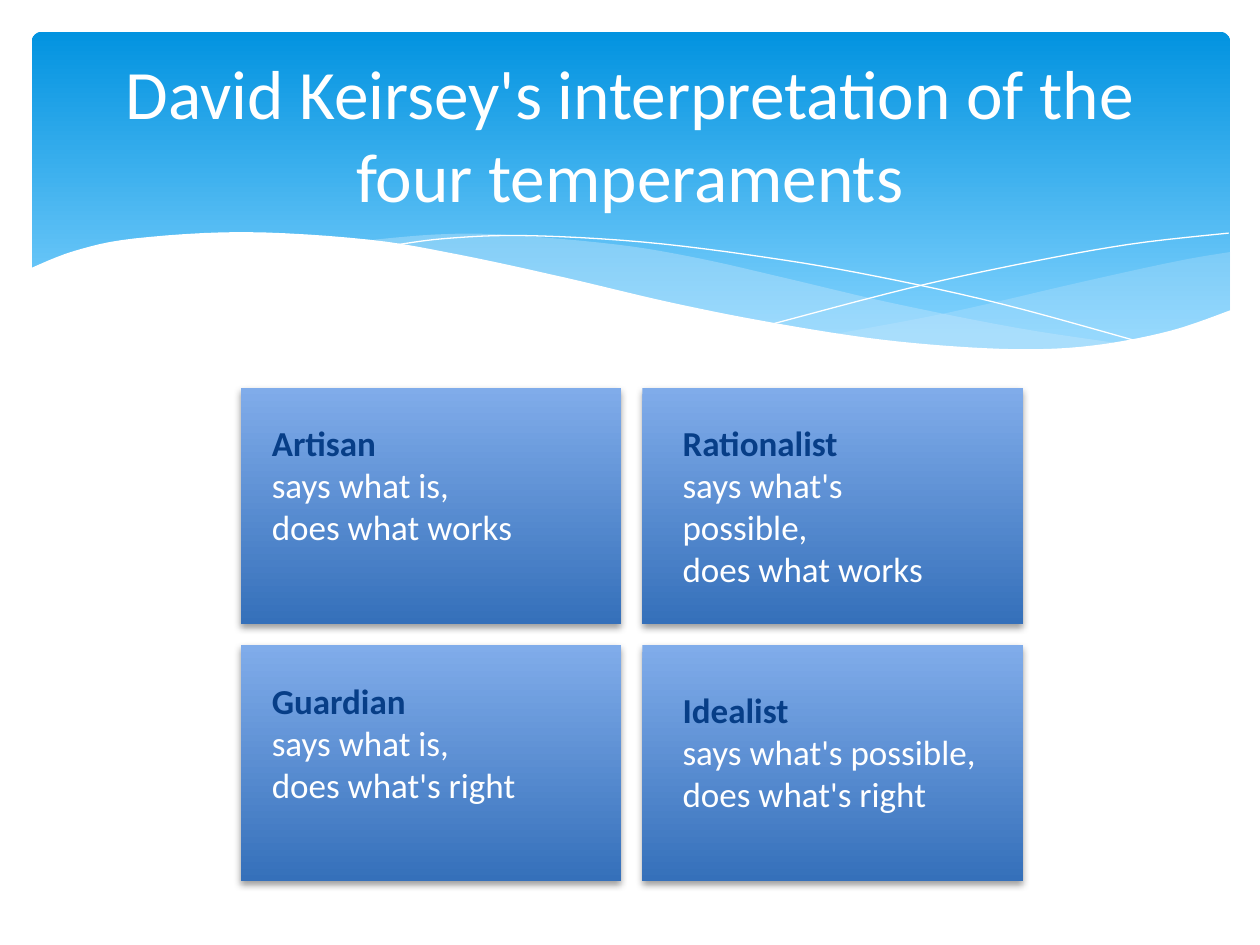
from lxml.etree import SubElement
from pptx import Presentation
from pptx.dml.color import RGBColor
from pptx.enum.shapes import MSO_SHAPE
from pptx.enum.text import MSO_ANCHOR, MSO_AUTO_SIZE, PP_ALIGN
from pptx.oxml.ns import qn
from pptx.util import Cm, Pt

WHITE = RGBColor(0xFF, 0xFF, 0xFF)
SKY_TOP = RGBColor(0x02, 0x93, 0xE0)
SKY_BOTTOM = RGBColor(0x83, 0xD3, 0xFE)
SWELL = RGBColor(0xC6, 0xE7, 0xFC)
TILE_TOP = RGBColor(0x80, 0xAC, 0xEA)
TILE_BOTTOM = RGBColor(0x35, 0x70, 0xBA)
NAVY = RGBColor(0x07, 0x3E, 0x87)

TITLE = "David Keirsey's interpretation of the four temperaments"
TITLE_FONT = {"name": "Calibri", "size": Pt(39.6), "bold": False}
NAME_FONT = {"name": "Calibri", "size": Pt(20), "bold": True}
SAYING_FONT = NAME_FONT | {"bold": False}
TITLE_FRAME = {"word_wrap": True, "auto_size": MSO_AUTO_SIZE.NONE,
               "vertical_anchor": MSO_ANCHOR.MIDDLE}
NOTE_FRAME = {"word_wrap": True, "auto_size": MSO_AUTO_SIZE.SHAPE_TO_FIT_TEXT,
              "vertical_anchor": MSO_ANCHOR.TOP}

RIGHT_SWELL = [
    [(24.16, 4.44), (23.11, 4.62), (21.23, 5.03), (18.49, 5.66), (16.15, 6.1)],
    [(16.15, 6.1), (17.63, 6.27), (19.76, 6.43), (21.29, 6.35), (22.76, 6.1),
     (24.16, 5.64)],
]
LEFT_SWELL = [
    [(6.63, 4.22), (8.1, 4.09), (9.5, 4.09), (11.79, 4.29), (13.46, 4.57),
     (15.34, 5), (17.3, 5.46), (19.86, 5.97), (22.05, 6.3)],
    [(22.05, 6.3), (20.9, 6.4), (19.58, 6.43), (17.7, 6.32), (15.47, 5.99),
     (12.83, 5.46), (10.77, 5), (8.56, 4.52), (6.63, 4.22)],
]
FALLING_LINE = [[(7.21, 4.32), (8.33, 4.17), (9.93, 4.11), (12.32, 4.24),
                 (14.81, 4.55), (17.02, 4.93), (19.56, 5.49), (22.4, 6.27)]]
RISING_LINE = [[(14.94, 5.89), (17.65, 5.18), (19.84, 4.7), (22.1, 4.29),
                (24.13, 4.06)]]
WHITE_WAVE = [
    [(-0.05, 4.78), (0.86, 4.42), (2.06, 4.17), (4.27, 4.04), (6.78, 4.19),
     (8.64, 4.5), (10.72, 4.95), (12.8, 5.44), (14.68, 5.82), (16.84, 6.17),
     (18.69, 6.35), (20.27, 6.4), (21.59, 6.3), (22.99, 6.02), (24.18, 5.61)],
    [(24.18, 7.72), (-0.05, 7.72)],
]

TEMPERAMENTS = [
    (0, 0, ["Artisan", "says what is,", "does what works"], (0.38, 0.56, 5.4, 3.68)),
    (1, 0, ["Rationalist", "says what's possible,", "does what works"],
     (0.56, 0.56, 6.35, 4.52)),
    (0, 1, ["Guardian", "says what is,", "does what's right"], (0.38, 0.56, 5.87, 2.82)),
    (1, 1, ["Idealist", "says what's possible,", "does what's right"],
     (0.56, 0.74, 6.78, 2.82)),
]


def apply_format(target, values):
    """Set each named format value on the target."""
    for name, value in values.items():
        setattr(target, name, value)


def fill_downwards(shape, top_color, bottom_color, end=1.0):
    """Give a shape a borderless vertical gradient without a shadow."""
    shape.shadow.inherit = False
    shape.line.fill.background()
    shape.fill.gradient()
    shape.fill.gradient_angle = 270
    stops = zip(shape.fill.gradient_stops, (0, end), (top_color, bottom_color))
    for stop, position, color in stops:
        stop.position = position
        stop.color.rgb = color


def smooth_curve(anchors, steps=6):
    """Return the points of a Catmull-Rom curve through the anchors."""
    if len(anchors) < 3:
        return anchors
    padded = [anchors[0], *anchors, anchors[-1]]
    points = [anchors[0]]
    for a, b, c, d in zip(padded, padded[1:], padded[2:], padded[3:]):
        for step in range(1, steps + 1):
            t = step / steps
            points.append(tuple(
                (2 * q + (r - p) * t + (2 * p - 5 * q + 4 * r - s) * t ** 2
                 + (3 * q - p - 3 * r + s) * t ** 3) / 2
                for p, q, r, s in zip(a, b, c, d)))
    return points


def add_wave(slide, box, curves, closed=True):
    """Draw joined smooth curves relative to the box."""
    left, top = box[:2]
    start, *rest = [(Cm(left + x), Cm(top + y))
                    for curve in curves for x, y in smooth_curve(curve)]
    builder = slide.shapes.build_freeform(*start, scale=1.0)
    builder.add_line_segments(rest, close=closed)
    wave = builder.convert_to_shape()
    wave.shadow.inherit = False
    return wave


def add_filled_wave(slide, box, curves, color, opacity=100):
    """Draw a closed wave with a plain, possibly translucent fill."""
    wave = add_wave(slide, box, curves)
    wave.line.fill.background()
    wave.fill.solid()
    wave.fill.fore_color.rgb = color
    if opacity < 100:
        tint = wave.element.spPr.find(".//" + qn("a:srgbClr"))
        SubElement(tint, qn("a:alpha"), val=str(opacity * 1000))


def add_hairline(slide, box, curves):
    """Draw an open white hairline."""
    hairline = add_wave(slide, box, curves, closed=False)
    hairline.fill.background()
    hairline.line.color.rgb = WHITE
    hairline.line.width = Pt(0)


def add_banner(slide, box):
    """Draw the sky banner with its waves in the box."""
    sky = slide.shapes.add_shape(MSO_SHAPE.ROUNDED_RECTANGLE, *map(Cm, box))
    sky.adjustments[0] = 0.03
    fill_downwards(sky, SKY_TOP, SKY_BOTTOM, 0.9)
    add_filled_wave(slide, box, RIGHT_SWELL, SWELL, 29)
    add_filled_wave(slide, box, LEFT_SWELL, SWELL, 40)
    add_hairline(slide, box, FALLING_LINE)
    add_hairline(slide, box, RISING_LINE)
    add_filled_wave(slide, box, WHITE_WAVE, WHITE)


def add_title(slide, box):
    """Place the title placeholder in the box, in front of the banner."""
    title = slide.shapes.title
    slide.shapes.element.append(title.element)
    apply_format(title, dict(zip(("left", "top", "width", "height"), map(Cm, box))))
    title.text_frame.text = TITLE
    apply_format(title.text_frame, TITLE_FRAME)
    heading = title.text_frame.paragraphs[0]
    heading.alignment = PP_ALIGN.CENTER
    apply_format(heading.runs[0].font, TITLE_FONT)
    heading.runs[0].font.color.rgb = WHITE


def add_tile(slide, box):
    """Draw one shaded tile with a soft shadow below it."""
    tile = slide.shapes.add_shape(MSO_SHAPE.RECTANGLE, *map(Cm, box))
    fill_downwards(tile, TILE_TOP, TILE_BOTTOM)
    effects = tile.element.spPr.find(qn("a:effectLst"))
    shade = SubElement(effects, qn("a:outerShdw"), blurRad=str(Pt(4)),
                       dist=str(Pt(2)), dir="5400000", rotWithShape="0")
    black = SubElement(shade, qn("a:srgbClr"), val="000000")
    SubElement(black, qn("a:alpha"), val="38000")


def add_note(slide, box, lines):
    """Write a temperament's name and its sayings in the box."""
    frame = slide.shapes.add_textbox(*map(Cm, box)).text_frame
    apply_format(frame, NOTE_FRAME)
    frame.text = "\n".join(lines)
    for index, paragraph in enumerate(frame.paragraphs):
        font = paragraph.runs[0].font
        apply_format(font, SAYING_FONT if index else NAME_FONT)
        font.color.rgb = WHITE if index else NAVY


def add_temperaments(slide, box, gap=0.43):
    """Lay out the two by two grid of temperaments in the box."""
    left, top, width, height = box
    tile_width, tile_height = (width - gap) / 2, (height - gap) / 2
    corners = [(left + column * (tile_width + gap), top + row * (tile_height + gap))
               for column, row, *_ in TEMPERAMENTS]
    for corner in corners:
        add_tile(slide, (*corner, tile_width, tile_height))
    for (x, y), (*_, lines, (dx, dy, *size)) in zip(corners, TEMPERAMENTS):
        add_note(slide, (x + dx, y + dy, *size), lines)


def main():
    """Build and save the slide."""
    deck = Presentation()
    deck.slide_width, deck.slide_height = Cm(25.4), Cm(19.05)
    slide = deck.slides.add_slide(deck.slide_layouts[5])
    add_banner(slide, (0.64, 0.64, 24.16, 6.86))
    add_title(slide, (1.27, 0.94, 22.86, 3.48))
    add_temperaments(slide, (4.85, 7.82, 15.77, 9.95))
    deck.save("out.pptx")


if __name__ == "__main__":
    main()
